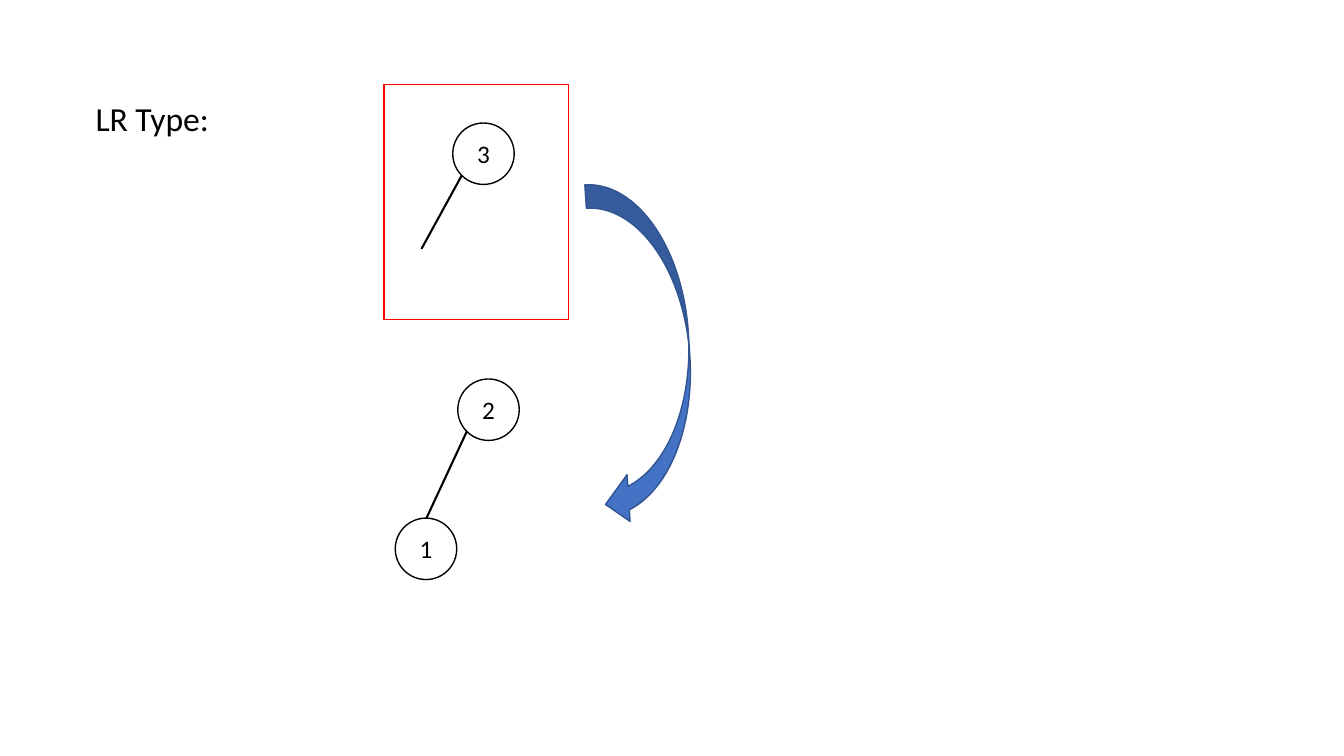
"""Draw the LR Type tree rotation slide."""
from dataclasses import dataclass

from lxml import etree
from pptx import Presentation
from pptx import util as u
from pptx.dml.color import RGBColor
from pptx.enum import shapes, text
from pptx.oxml import ns

FONT = "Calibri"
BLACK, WHITE, RED = "000000", "FFFFFF", "FF0000"
BLUE, DARK_BLUE = "4472C4", "325491"
NODE_SIZE = 0.61


@dataclass(frozen=True)
class Node:
    label: str
    left: float
    top: float


@dataclass(frozen=True)
class Edge:
    start: tuple[float, float]
    end: tuple[float, float]


NODES = [Node("3", 4.49, 1.22), Node("2", 4.54, 3.76), Node("1", 3.92, 5.14)]
EDGES = [Edge((4.58, 1.74), (4.18, 2.47)), Edge((4.63, 4.28), (4.23, 5.14))]


def paint(color_format, color: str) -> None:
    """Apply a hex colour to a colour format."""
    color_format.rgb = RGBColor.from_string(color)


def write(shape, label: str, size: int) -> None:
    """Put one styled line of text in a shape."""
    shape.text_frame.text = label
    font = shape.text_frame.paragraphs[0].runs[0].font
    font.name, font.size = FONT, u.Pt(size)
    paint(font.color, BLACK)


def add_outlined(page, kind, left: float, top: float, width: float,
                 height: float, line: str, fill: str | None = None):
    """Add a preset shape with a thin outline and an optional fill."""
    shape = page.shapes.add_shape(
        kind, u.Inches(left), u.Inches(top), u.Inches(width), u.Inches(height))
    shape.shadow.inherit = False
    if fill:
        shape.fill.solid()
        paint(shape.fill.fore_color, fill)
    else:
        shape.fill.background()
    shape.line.width = u.Pt(1)
    paint(shape.line.color, line)
    return shape


def add_node(page, node: Node) -> None:
    """Add a numbered tree node."""
    circle = add_outlined(page, shapes.MSO_SHAPE.OVAL, node.left, node.top,
                          NODE_SIZE, NODE_SIZE, BLACK, WHITE)
    write(circle, node.label, 18)
    circle.text_frame.vertical_anchor = text.MSO_ANCHOR.MIDDLE
    circle.text_frame.paragraphs[0].alignment = text.PP_ALIGN.CENTER


def add_edge(page, edge: Edge) -> None:
    """Add a straight tree edge."""
    points = [u.Inches(value) for value in edge.start + edge.end]
    line = page.shapes.add_connector(shapes.MSO_CONNECTOR.STRAIGHT, *points)
    line.line.width = u.Pt(1.5)
    paint(line.line.color, BLACK)
    etree.SubElement(line._element.spPr, ns.qn("a:effectLst"))


def add_title(page) -> None:
    """Add the slide heading."""
    box = page.shapes.add_textbox(
        u.Inches(0.85), u.Inches(0.92), u.Inches(1.34), u.Inches(0.5))
    write(box, "LR Type:", 24)
    box.text_frame.word_wrap = False
    box.text_frame.auto_size = text.MSO_AUTO_SIZE.SHAPE_TO_FIT_TEXT


def add_rotation_arrow(page) -> None:
    """Add the curved arrow from the upper to the lower tree."""
    arrow = add_outlined(page, shapes.MSO_SHAPE.CURVED_UP_ARROW,
                         4.67, 3.04, 3.41, 0.93, DARK_BLUE, BLUE)
    arrow.rotation = 86.3
    arrow._element.spPr.find(ns.qn("a:xfrm")).set("flipV", "1")


def main() -> None:
    """Build and save the deck."""
    deck = Presentation()
    deck.slide_width, deck.slide_height = u.Inches(13.33), u.Inches(7.5)
    page = deck.slides.add_slide(deck.slide_layouts[6])
    add_title(page)
    for edge in EDGES:
        add_edge(page, edge)
    for node in NODES:
        add_node(page, node)
    add_outlined(page, shapes.MSO_SHAPE.RECTANGLE, 3.81, 0.84, 1.83, 2.33, RED)
    add_rotation_arrow(page)
    deck.save("out.pptx")


main()
